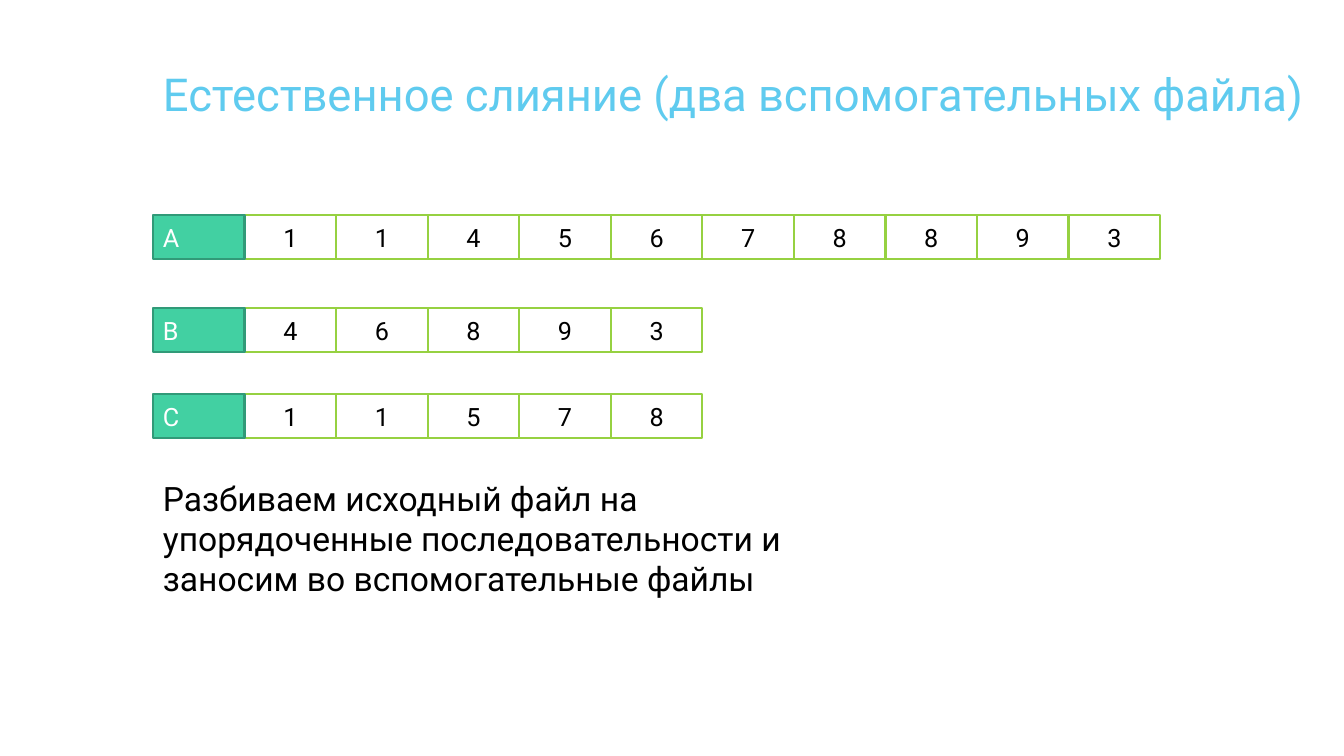
from pptx import Presentation
from pptx.dml.color import RGBColor
from pptx.enum.shapes import MSO_SHAPE
from pptx.enum.text import MSO_ANCHOR, PP_ALIGN
from pptx.util import Pt

RECTANGLE = MSO_SHAPE.RECTANGLE
MIDDLE = MSO_ANCHOR.MIDDLE
LEFT, CENTER = PP_ALIGN.LEFT, PP_ALIGN.CENTER

# Content
TITLE = "Естественное слияние (два вспомогательных файла)"
NOTE = ("Разбиваем исходный файл на упорядоченные последовательности "
        "и заносим во вспомогательные файлы")
# File name, top edge, values
FILES = [
    ("A", 153.8, [1, 1, 4, 5, 6, 7, 8, 8, 9, 3]),
    ("B", 220.2, [4, 6, 8, 9, 3]),
    ("C", 281.7, [1, 1, 5, 7, 8]),
]

# Style and layout, in points
COLORS = {
    "title": "5FCBEF", "text": "000000",
    "cell": "FFFFFF", "cell_line": "96D141",
    "label": "42D0A2", "label_line": "319A78", "label_text": "FFFFFF",
}
FONT = "Roboto"
MARGIN = 109.3
CELL_WIDTH, CELL_HEIGHT = 65.4, 31


def color(name):
    return RGBColor.from_string(COLORS[name])


def write(shape, text, size, color_name, align=LEFT):
    frame = shape.text_frame
    frame.word_wrap = True
    para = frame.paragraphs[0]
    para.text = text
    para.alignment = align
    para.font.name = FONT
    para.font.size = Pt(size)
    para.font.color.rgb = color(color_name)


def add_text(page, top, width, height, text, size, color_name):
    box = page.shapes.add_textbox(Pt(MARGIN), Pt(top), Pt(width), Pt(height))
    write(box, text, size, color_name)


def add_cell(page, column, top, text, kind, text_color, align):
    cell = page.shapes.add_shape(
        RECTANGLE, Pt(MARGIN + column * CELL_WIDTH), Pt(top),
        Pt(CELL_WIDTH), Pt(CELL_HEIGHT))
    cell.shadow.inherit = False
    cell.fill.solid()
    cell.fill.fore_color.rgb = color(kind)
    cell.line.color.rgb = color(kind + "_line")
    cell.line.width = Pt(1.5)
    cell.text_frame.vertical_anchor = MIDDLE
    write(cell, text, 18, text_color, align)


def main():
    deck = Presentation()
    deck.slide_width, deck.slide_height = Pt(960), Pt(540)
    page = deck.slides.add_slide(deck.slide_layouts[6])

    # Title
    add_text(page, 44, 868.3, 70, TITLE, 32.4, "title")

    # File rows: the label lies over the edge of the first value
    for name, top, values in FILES:
        for column, value in enumerate(values, start=1):
            add_cell(page, column, top, str(value), "cell", "text", CENTER)
        add_cell(page, 0, top, name, "label", "label_text", LEFT)

    # Explanation
    add_text(page, 337.7, 504, 94.5, NOTE, 24, "text")

    deck.save("out.pptx")


if __name__ == "__main__":
    main()
